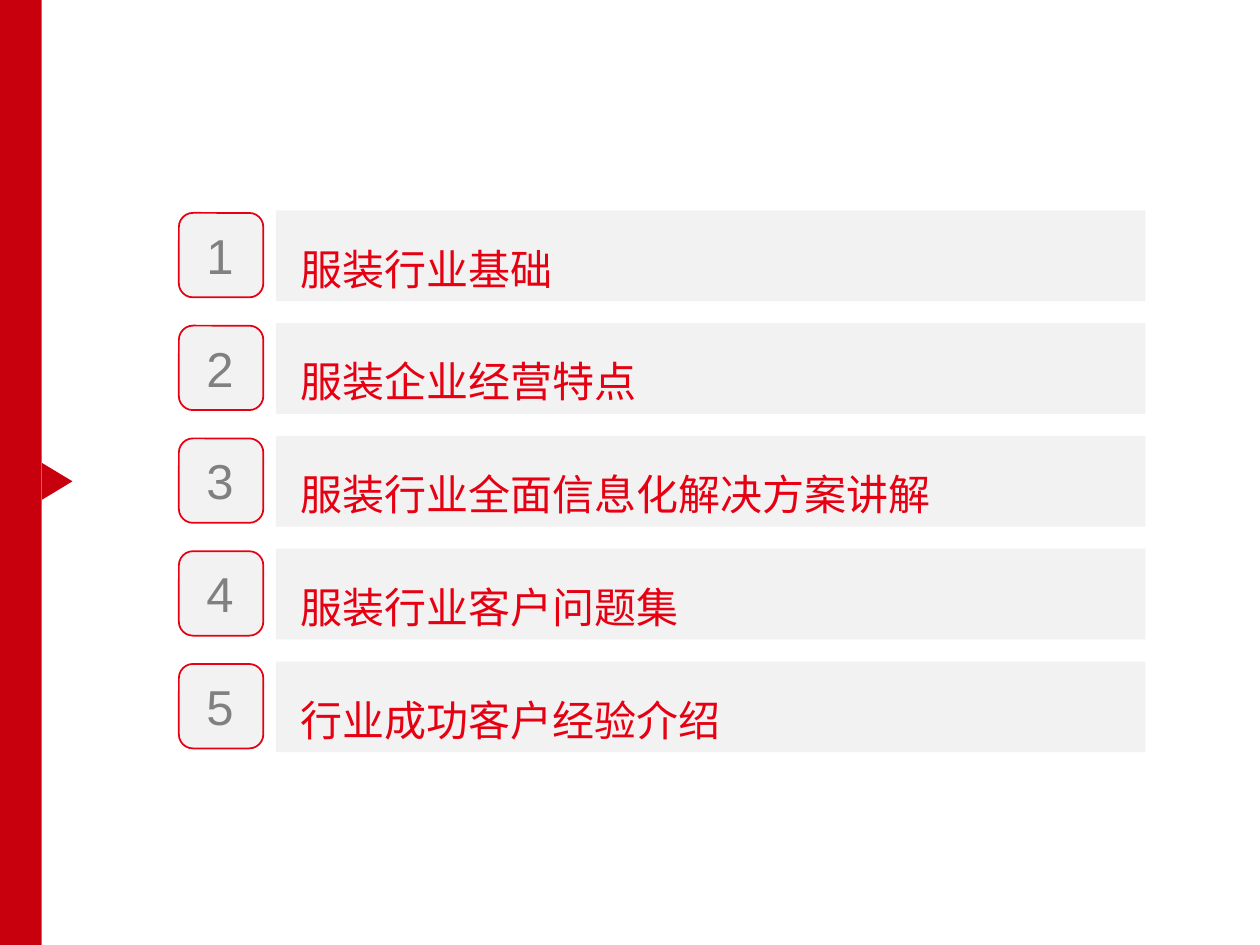
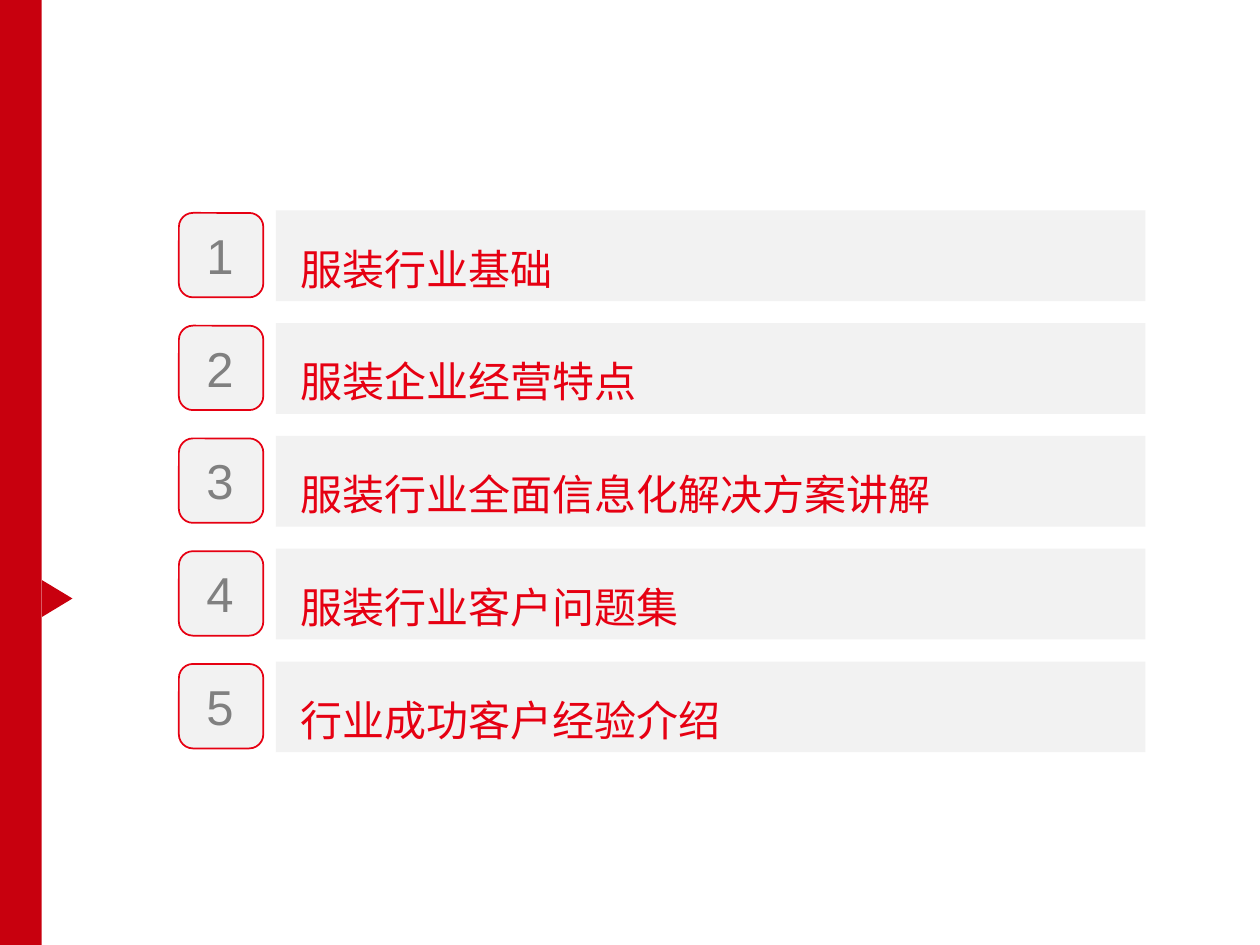
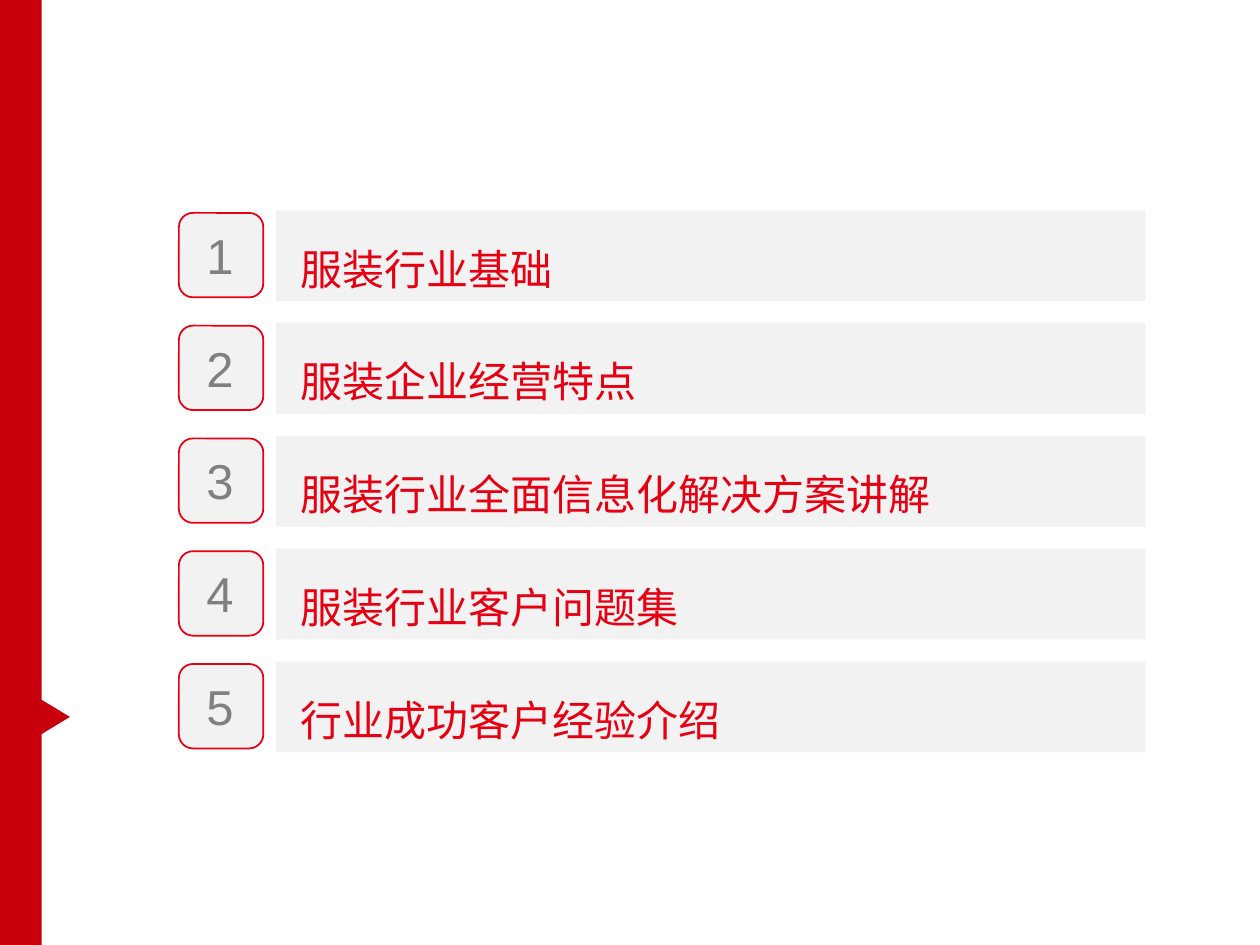
from dataclasses import dataclass

from lxml import etree
from pptx import Presentation
from pptx import util as u
from pptx.dml.color import RGBColor
from pptx.enum import shapes, text
from pptx.oxml import ns

BAND_RED = RGBColor(0xC8, 0x00, 0x0E)
TOPIC_RED = RGBColor(0xE6, 0x00, 0x12)
PANEL_GREY = RGBColor(0xF2, 0xF2, 0xF2)
NUMBER_GREY = RGBColor(0x80, 0x80, 0x80)

TOPICS = (
    "服装行业基础",
    "服装企业经营特点",
    "服装行业全面信息化解决方案讲解",
    "服装行业客户问题集",
    "行业成功客户经验介绍",
)
FIRST_ROW_TOP = 1.67
LAST_ROW_TOP = 5.25
ROW_PITCH = (LAST_ROW_TOP - FIRST_ROW_TOP) / (len(TOPICS) - 1)

TOPIC_FONT = {"name": "Noto Sans CJK SC", "size": u.Pt(24)}
NUMBER_FONT = {"name": "Arial", "size": u.Pt(28)}
TOPIC_PARAGRAPH = {
    "alignment": text.PP_ALIGN.LEFT,
    "line_spacing": 1.5,
    "space_after": u.Pt(8.4),
}
TOPIC_FRAME = {"word_wrap": True, "vertical_anchor": text.MSO_ANCHOR.MIDDLE}
NUMBER_FRAME = {"word_wrap": False, "auto_size": text.MSO_AUTO_SIZE.SHAPE_TO_FIT_TEXT}


@dataclass(frozen=True)
class Box:
    left: float
    top: float
    width: float
    height: float

    def lengths(self, down: float = 0) -> tuple:
        return tuple(
            u.Inches(value)
            for value in (self.left, self.top + down, self.width, self.height)
        )


BAND = Box(-0.01, 0, 0.34, 7.5)
TILE = Box(1.42, 1.69, 0.67, 0.67)
PANEL = Box(2.19, FIRST_ROW_TOP, 6.9, 0.72)
NUMBER = Box(1.54, 1.74, 0.42, 0.57)
MARKERS = (
    Box(0.31, 3.7, 0.29, 0.24),
    Box(0.31, 4.63, 0.29, 0.24),
    Box(0.29, 5.57, 0.29, 0.24),
)


def apply_format(target, values: dict) -> None:
    for name, value in values.items():
        setattr(target, name, value)


def add_filled(parent, kind, box: Box, fill: RGBColor, down: float = 0, outline=None):
    shape = parent.add_shape(kind, *box.lengths(down))
    shape.shadow.inherit = False
    shape.fill.solid()
    shape.fill.fore_color.rgb = fill
    if outline is None:
        shape.line.fill.background()
    else:
        shape.line.color.rgb = outline
        shape.line.width = u.Pt(1)
    return shape


def add_run(paragraph, words: str, font: dict, color: RGBColor) -> None:
    run = paragraph.add_run()
    run.text = words
    apply_format(run.font, font)
    run.font.color.rgb = color
    latin = run.font._element.find(ns.qn("a:latin"))
    east_asian = etree.Element(ns.qn("a:ea"), typeface=font["name"])
    latin.addnext(east_asian)


def add_topic_row(slide, index: int, topic: str) -> None:
    row = slide.shapes.add_group_shape().shapes
    down = index * ROW_PITCH
    add_filled(
        row, shapes.MSO_SHAPE.ROUNDED_RECTANGLE, TILE, PANEL_GREY, down, TOPIC_RED
    )

    panel = add_filled(row, shapes.MSO_SHAPE.RECTANGLE, PANEL, PANEL_GREY, down)
    apply_format(panel.text_frame, TOPIC_FRAME)
    paragraph = panel.text_frame.paragraphs[0]
    apply_format(paragraph, TOPIC_PARAGRAPH)
    properties = paragraph._p.get_or_add_pPr()
    properties.set("marL", str(u.Inches(0.1)))
    properties.set("indent", "0")
    add_run(paragraph, topic, TOPIC_FONT, TOPIC_RED)

    number = row.add_textbox(*NUMBER.lengths(down))
    apply_format(number.text_frame, NUMBER_FRAME)
    add_run(number.text_frame.paragraphs[0], str(index + 1), NUMBER_FONT, NUMBER_GREY)


def add_agenda_slide(presentation, marker: Box) -> None:
    slide = presentation.slides.add_slide(presentation.slide_layouts[6])
    add_filled(slide.shapes, shapes.MSO_SHAPE.RECTANGLE, BAND, BAND_RED)
    pointer = add_filled(
        slide.shapes, shapes.MSO_SHAPE.ISOSCELES_TRIANGLE, marker, BAND_RED
    )
    pointer.rotation = 90
    for index, topic in enumerate(TOPICS):
        add_topic_row(slide, index, topic)


def main() -> None:
    presentation = Presentation()
    presentation.slide_width = u.Inches(10)
    presentation.slide_height = u.Inches(7.5)
    for marker in MARKERS:
        add_agenda_slide(presentation, marker)
    presentation.save("out.pptx")


if __name__ == "__main__":
    main()
